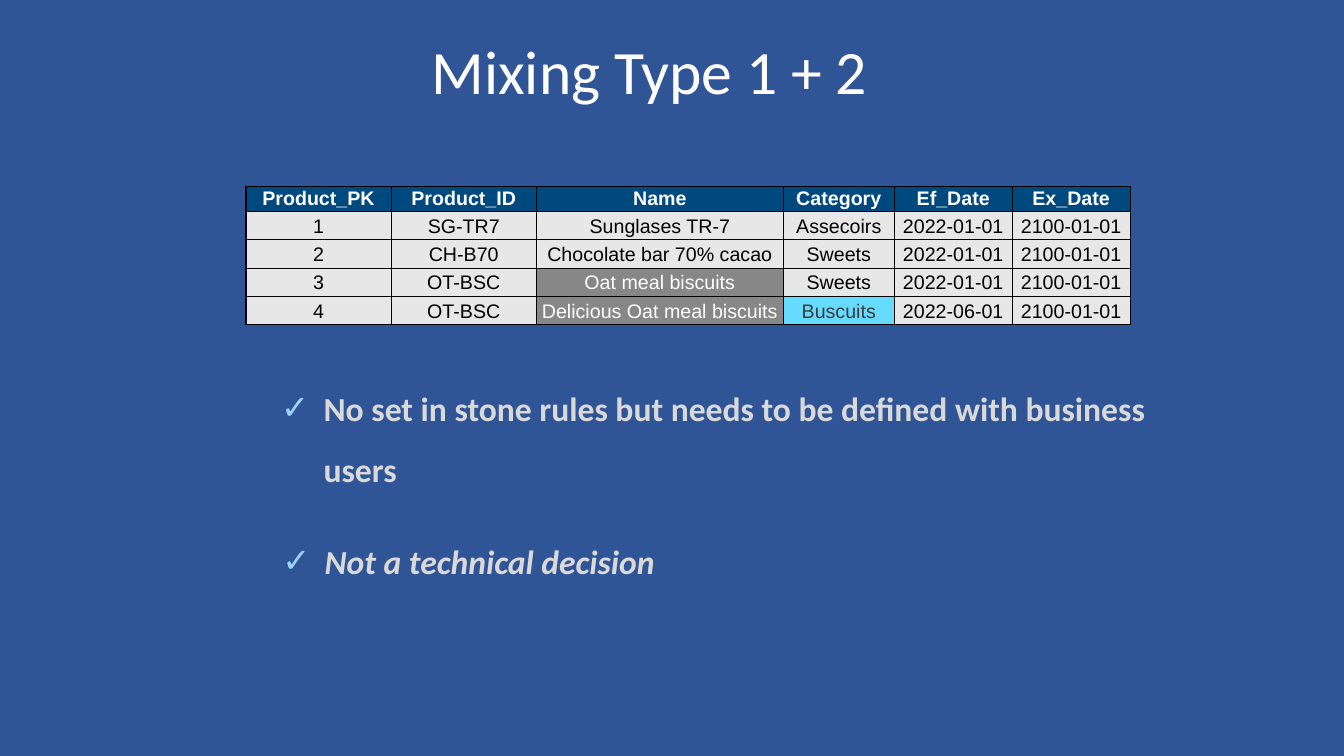
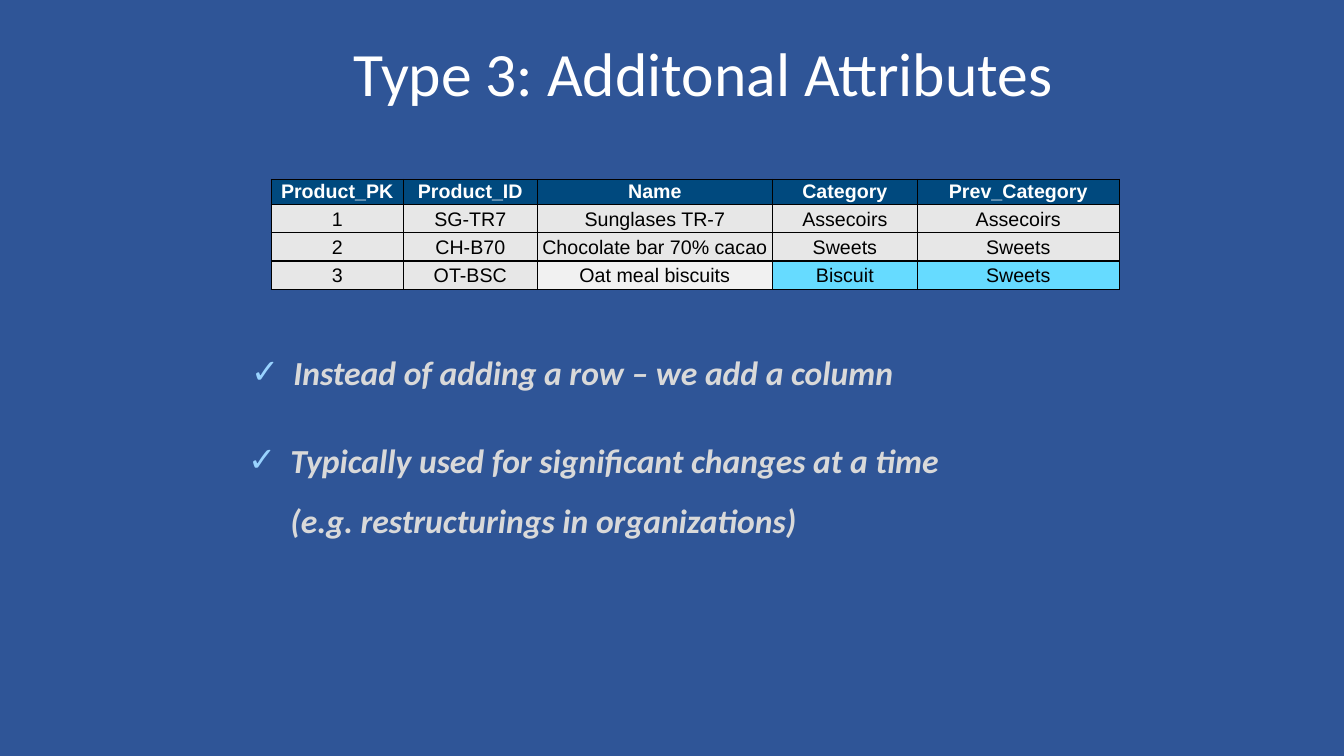
from pptx import Presentation
from pptx.dml.color import RGBColor
from pptx.enum.text import MSO_ANCHOR, PP_ALIGN
from pptx.oxml import parse_xml
from pptx.oxml.ns import nsdecls
from pptx.util import Inches, Pt

rgb = RGBColor.from_string

BACKGROUND, WHITE, BLACK = "2F5597", "FFFFFF", "000000"
HEADER_FILL, BODY_FILL, CHANGED_FILL = "00497E", "E7E7E7", "66DBFF"
MUTED_FILL, PALE_FILL, DARK_TEXT = "878787", "F1F1F1", "3B3B3B"
BULLET_TEXT, CHECK = "D9D9D9", "99D3FF"

TITLE_FONT = {"name": "Calibri", "size": Pt(44)}
HEADER_FONT = {"name": "Arial", "size": Pt(14), "bold": True}
BODY_FONT = {**HEADER_FONT, "bold": False}
BULLET_FONT = {"name": "Calibri", "size": Pt(24), "bold": True}
HANG = Inches(0.42)
HEADER_HEIGHT, BODY_HEIGHT = Inches(0.25), Inches(0.28)

# Highlights map (row, column) to fill and text colour.
# Bullets hold text, italic, left indent, line spacing and space before.
SLIDES = [
    {
        "title": "Mixing Type 1 + 2",
        "title_box": (4.28, 0.3, 4.86, 0.76),
        "table_at": (2.44, 1.85),
        "columns": [1.44, 1.44, 2.45, 1.1, 1.17, 1.17],
        "rows": [
            ["Product_PK", "Product_ID", "Name", "Category", "Ef_Date", "Ex_Date"],
            ["1", "SG-TR7", "Sunglases TR-7", "Assecoirs", "2022-01-01", "2100-01-01"],
            ["2", "CH-B70", "Chocolate bar 70% cacao", "Sweets", "2022-01-01", "2100-01-01"],
            ["3", "OT-BSC", "Oat meal biscuits", "Sweets", "2022-01-01", "2100-01-01"],
            ["4", "OT-BSC", "Delicious Oat meal biscuits", "Buscuits", "2022-06-01", "2100-01-01"],
        ],
        "highlights": {
            (3, 2): (MUTED_FILL, WHITE),
            (4, 2): (MUTED_FILL, WHITE),
            (4, 3): (CHANGED_FILL, DARK_TEXT),
        },
        "bullet_box": (2.78, 3.63, 9.3, 1.56),
        "bullets": [
            ("No set in stone rules but needs to be defined with business users",
             False, 0.43, 1.5, 0),
            ("Not a technical decision", True, 0.44, 1, 37),
        ],
    },
    {
        "title": "Type 3: Additonal Attributes",
        "title_box": (3.51, 0.32, 7.54, 0.76),
        "table_at": (2.69, 1.78),
        "columns": [1.31, 1.33, 2.33, 1.44, 2],
        "rows": [
            ["Product_PK", "Product_ID", "Name", "Category", "Prev_Category"],
            ["1", "SG-TR7", "Sunglases TR-7", "Assecoirs", "Assecoirs"],
            ["2", "CH-B70", "Chocolate bar 70% cacao", "Sweets", "Sweets"],
            ["3", "OT-BSC", "Oat meal biscuits", "Biscuit", "Sweets"],
        ],
        "highlights": {
            (3, 2): (PALE_FILL, BLACK),
            (3, 3): (CHANGED_FILL, BLACK),
            (3, 4): (CHANGED_FILL, BLACK),
        },
        "bullet_box": (2.45, 3.47, 6.92, 1.84),
        "bullets": [
            ("Instead of adding a row – we add a column", True, 0.46, 1, 0),
            ("Typically used for significant changes at a time\v"
             "(e.g. restructurings in organizations)", True, 0.43, 1.5, 19.4),
        ],
    },
]


def write(paragraph, text, color, values):
    """Put text in the paragraph and format each of its runs."""
    paragraph.text = text
    for run in paragraph.runs:
        run.font.color.rgb = rgb(color)
        for attribute, value in values.items():
            setattr(run.font, attribute, value)


def add_text_frame(slide, box):
    frame = slide.shapes.add_textbox(*map(Inches, box)).text_frame
    frame.word_wrap = True
    frame.margin_left = frame.margin_right = frame.margin_bottom = 0
    frame.margin_top = Inches(0.02)
    return frame


prs = Presentation()
prs.slide_width, prs.slide_height = Inches(13.33), Inches(7.5)

for content in SLIDES:
    slide = prs.slides.add_slide(prs.slide_layouts[6])
    slide.background.fill.solid()
    slide.background.fill.fore_color.rgb = rgb(BACKGROUND)

    title = add_text_frame(slide, content["title_box"])
    title.vertical_anchor = MSO_ANCHOR.MIDDLE
    write(title.paragraphs[0], content["title"], WHITE, TITLE_FONT)

    rows, widths = content["rows"], content["columns"]
    left, top = map(Inches, content["table_at"])
    height = HEADER_HEIGHT + BODY_HEIGHT * (len(rows) - 1)
    products = slide.shapes.add_table(
        len(rows), len(widths), left, top, Inches(sum(widths)), height).table
    products.horz_banding = False
    for column, width in zip(products.columns, widths):
        column.width = Inches(width)
    for r, values in enumerate(rows):
        is_header = r == 0
        products.rows[r].height = HEADER_HEIGHT if is_header else BODY_HEIGHT
        usual = (HEADER_FILL, WHITE) if is_header else (BODY_FILL, BLACK)
        for c, value in enumerate(values):
            fill, color = content["highlights"].get((r, c), usual)
            cell = products.cell(r, c)
            cell.margin_left = cell.margin_right = cell.margin_bottom = 0
            cell.margin_top = Inches(0.01 if is_header else 0.04)
            borders = cell._tc.get_or_add_tcPr()
            for side in ("lnL", "lnR", "lnT", "lnB"):
                borders.append(parse_xml(
                    f'<a:{side} {nsdecls("a")} w="{Pt(1)}"><a:solidFill>'
                    f'<a:srgbClr val="{BLACK}"/></a:solidFill></a:{side}>'))
            cell.fill.solid()
            cell.fill.fore_color.rgb = rgb(fill)
            paragraph = cell.text_frame.paragraphs[0]
            paragraph.alignment = PP_ALIGN.CENTER
            write(paragraph, value, color, HEADER_FONT if is_header else BODY_FONT)

    remarks = add_text_frame(slide, content["bullet_box"])
    for i, (text, italic, indent, spacing, before) in enumerate(content["bullets"]):
        paragraph = remarks.add_paragraph() if i else remarks.paragraphs[0]
        properties = paragraph._p.get_or_add_pPr()
        properties.set("marL", str(Inches(indent)))
        properties.set("indent", str(-HANG))
        for bullet in (f'<a:buClr {nsdecls("a")}><a:srgbClr val="{CHECK}"/></a:buClr>',
                       f'<a:buFont {nsdecls("a")} typeface="Arial"/>',
                       f'<a:buChar {nsdecls("a")} char="✓"/>'):
            properties.append(parse_xml(bullet))
        paragraph.line_spacing = float(spacing)
        if before:
            paragraph.space_before = Pt(before)
        write(paragraph, text, BULLET_TEXT, {**BULLET_FONT, "italic": italic})

prs.save("out.pptx")
